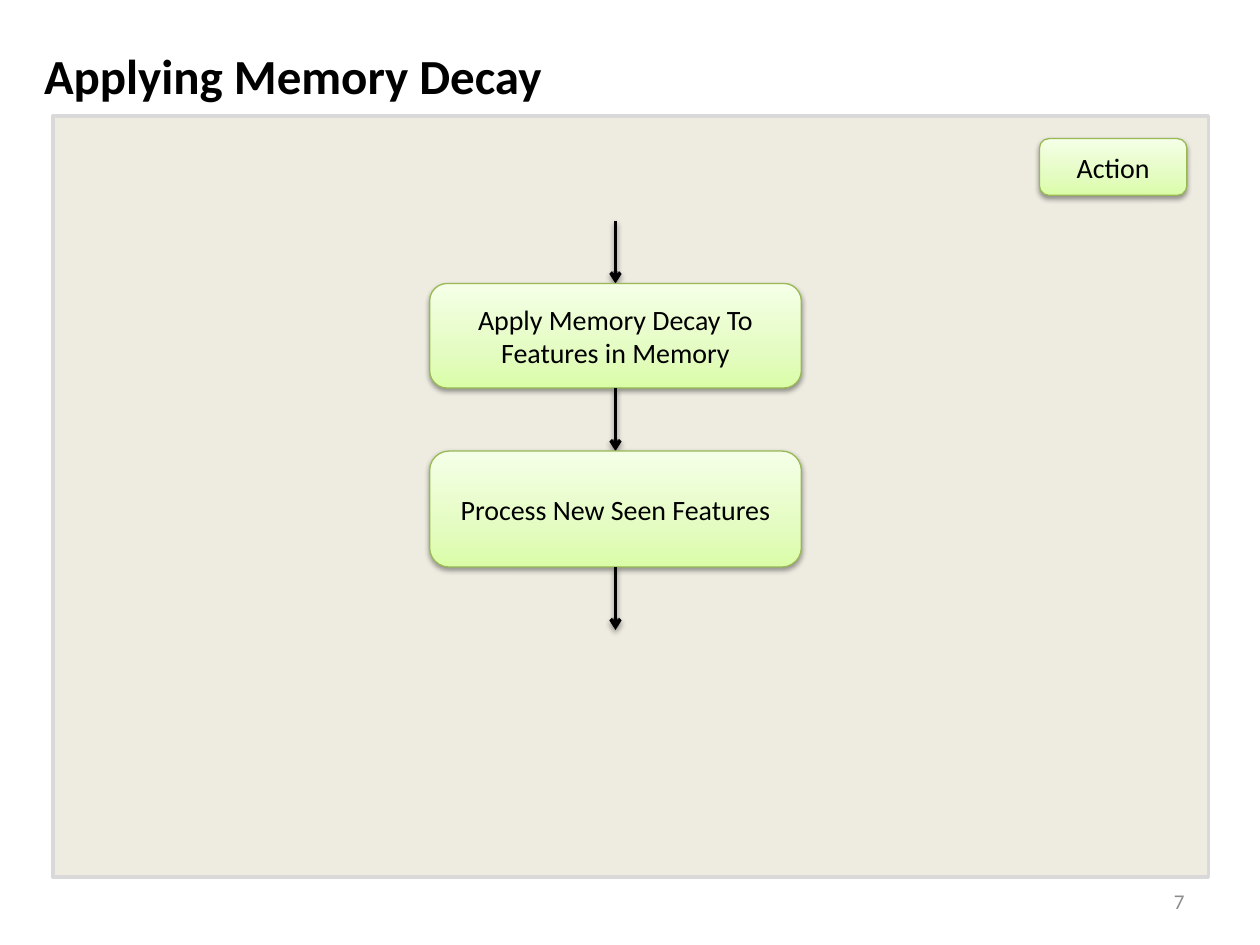
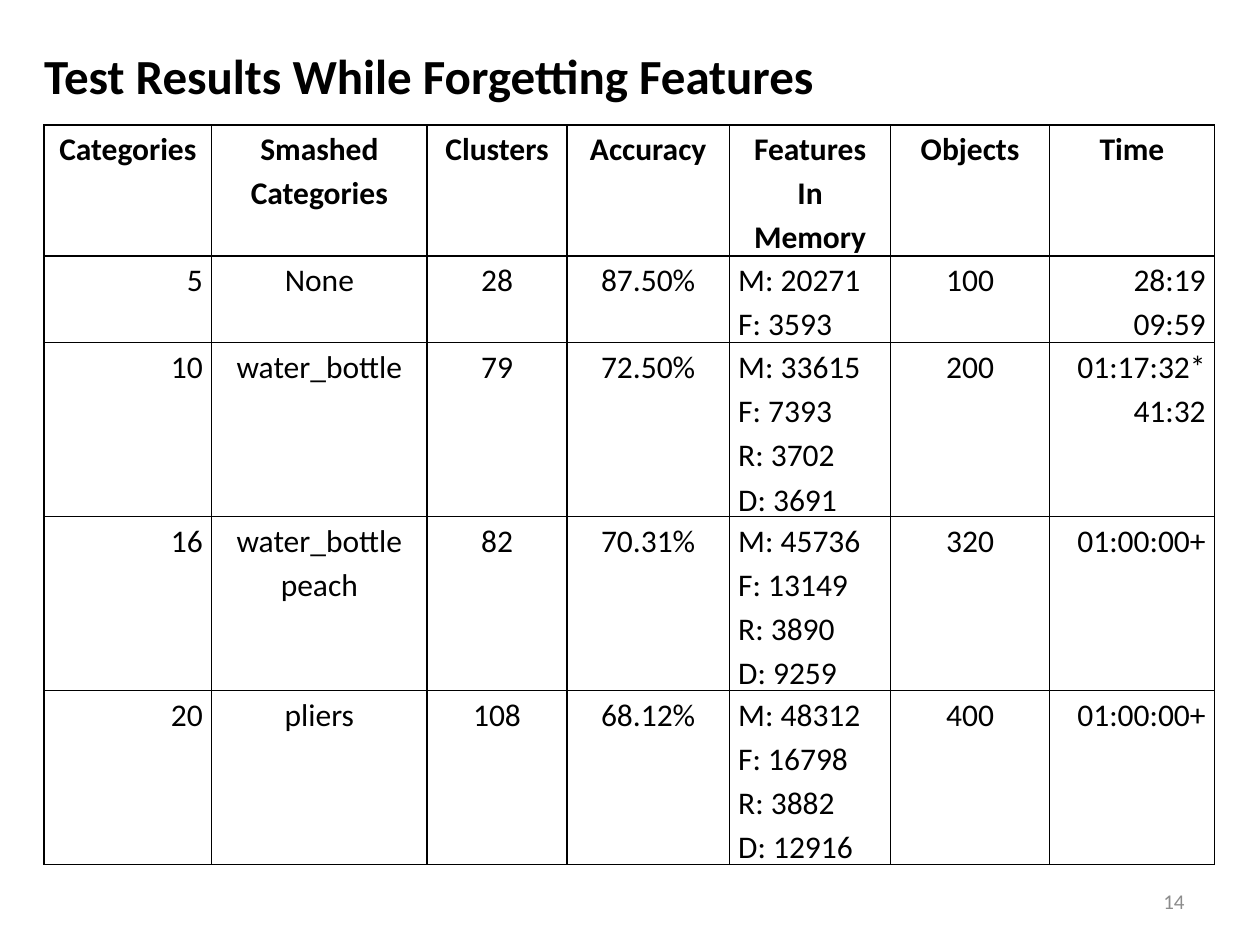
from dataclasses import dataclass

from lxml import etree
from pptx import Presentation
from pptx.dml.color import RGBColor
from pptx.enum.shapes import MSO_CONNECTOR, MSO_SHAPE
from pptx.enum.text import MSO_ANCHOR, MSO_AUTO_SIZE, PP_ALIGN
from pptx.oxml import parse_xml
from pptx.oxml.ns import nsdecls, qn
from pptx.util import Inches, Pt

LEFT, CENTER, RIGHT = PP_ALIGN.LEFT, PP_ALIGN.CENTER, PP_ALIGN.RIGHT
TOP, MIDDLE = MSO_ANCHOR.TOP, MSO_ANCHOR.MIDDLE
RECTANGLE = MSO_SHAPE.RECTANGLE
ACTION_SHAPE = MSO_SHAPE.FLOWCHART_ALTERNATE_PROCESS
STRAIGHT = MSO_CONNECTOR.STRAIGHT
TITLE_ONLY_LAYOUT = 5


@dataclass(frozen=True)
class Theme:
    font: str = "Calibri"
    ink: str = "000000"
    muted: str = "8C8C8C"
    panel: str = "EEECE1"
    panel_line: str = "D9D9D9"
    action_line: str = "98B955"
    action_stops: tuple = ((0, "DAFDA7"), (35, "E4FCC2"), (100, "F5FFE7"))
    title_size: int = 28
    table_size: int = 18
    action_size: int = 16
    number_size: int = 12


THEME = Theme()

PANEL = (0.42, 0.92, 9.17, 6.04)
FLOW_LEFT, FLOW_TOP, FLOW_WIDTH = 3.41, 1.75, 2.95
ARROW_LENGTH = 0.5
FLOW_STEPS = (
    ("Apply Memory Decay To Features in Memory", 0.83),
    ("Process New Seen Features", 0.92),
)

COLUMN_WIDTHS = (1.33, 1.71, 1.11, 1.29, 1.28, 1.26, 1.31)
ROW_HEIGHTS = (1.04, 0.69, 1.38, 1.38, 1.38)
COLUMN_ALIGNMENTS = (RIGHT, CENTER, CENTER, CENTER, LEFT, CENTER, RIGHT)
HEADERS = ("Categories", "Smashed Categories", "Clusters", "Accuracy",
           "Features In Memory", "Objects", "Time")
RESULTS = (
    ("5", "None", "28", "87.50%", "M: 20271\nF: 3593", "100", "28:19\n09:59"),
    ("10", "water_bottle", "79", "72.50%",
     "M: 33615\nF: 7393\nR: 3702\nD: 3691", "200", "01:17:32*\n41:32"),
    ("16", "water_bottle\npeach", "82", "70.31%",
     "M: 45736\nF: 13149\nR: 3890\nD: 9259", "320", "01:00:00+"),
    ("20", "pliers", "108", "68.12%",
     "M: 48312\nF: 16798\nR: 3882\nD: 12916", "400", "01:00:00+"),
)


def color(value):
    return RGBColor.from_string(value)


def box(left, top, width, height):
    return Inches(left), Inches(top), Inches(width), Inches(height)


def write_text(frame, text, size, ink=THEME.ink, alignment=LEFT, bold=False,
               spacing=None):
    frame.word_wrap = True
    for index, line in enumerate(text.split("\n")):
        paragraph = frame.add_paragraph() if index else frame.paragraphs[0]
        paragraph.alignment = alignment
        if spacing:
            paragraph.line_spacing = spacing
        run = paragraph.add_run()
        run.text = line
        run.font.name = THEME.font
        run.font.size = Pt(size)
        run.font.bold = bold
        run.font.color.rgb = color(ink)


def add_soft_shadow(shape):
    properties = shape.element.spPr
    for effects in properties.findall(qn("a:effectLst")):
        properties.remove(effects)
    properties.append(parse_xml(
        f'<a:effectLst {nsdecls("a")}>'
        f'<a:outerShdw blurRad="{Pt(3.1)}" dist="{Pt(1.6)}" dir="5400000" '
        f'rotWithShape="0"><a:srgbClr val="{THEME.ink}">'
        '<a:alpha val="38000"/></a:srgbClr></a:outerShdw></a:effectLst>'))


def fill_gradient(shape, stops):
    shape.fill.gradient()
    shape.fill.gradient_angle = 90
    stop_list = shape.element.spPr.find(".//" + qn("a:gsLst"))
    for stop in list(stop_list):
        stop_list.remove(stop)
    for position, value in stops:
        stop = etree.SubElement(stop_list, qn("a:gs"), pos=str(position * 1000))
        etree.SubElement(stop, qn("a:srgbClr"), val=value)


def add_panel(slide):
    panel = slide.shapes.add_shape(RECTANGLE, *box(*PANEL))
    panel.shadow.inherit = False
    panel.fill.solid()
    panel.fill.fore_color.rgb = color(THEME.panel)
    panel.line.color.rgb = color(THEME.panel_line)
    panel.line.width = Pt(2)


def add_action(slide, text, left, top, width, height):
    action = slide.shapes.add_shape(ACTION_SHAPE, *box(left, top, width, height))
    fill_gradient(action, THEME.action_stops)
    action.line.color.rgb = color(THEME.action_line)
    action.line.width = Pt(0.75)
    add_soft_shadow(action)
    action.text_frame.vertical_anchor = MIDDLE
    write_text(action.text_frame, text, THEME.action_size, alignment=CENTER)


def add_down_arrow(slide, center, top):
    arrow = slide.shapes.add_connector(
        STRAIGHT, Inches(center), Inches(top),
        Inches(center), Inches(top + ARROW_LENGTH))
    arrow.line.color.rgb = color(THEME.ink)
    arrow.line.width = Pt(2)
    line = arrow.element.spPr.find(qn("a:ln"))
    etree.SubElement(line, qn("a:tailEnd"), type="arrow")
    add_soft_shadow(arrow)


def add_flow(slide):
    center = FLOW_LEFT + FLOW_WIDTH / 2
    top = FLOW_TOP
    for text, height in FLOW_STEPS:
        add_down_arrow(slide, center, top)
        top += ARROW_LENGTH
        add_action(slide, text, FLOW_LEFT, top, FLOW_WIDTH, height)
        top += height
    add_down_arrow(slide, center, top)


def add_borders(cell):
    properties = cell._tc.get_or_add_tcPr()
    for index, side in enumerate(("a:lnL", "a:lnR", "a:lnT", "a:lnB")):
        border = etree.Element(qn(side), w=str(Pt(1)))
        fill = etree.SubElement(border, qn("a:solidFill"))
        etree.SubElement(fill, qn("a:srgbClr"), val=THEME.ink)
        properties.insert(index, border)


def add_results_table(slide):
    rows = (HEADERS,) + RESULTS
    frame = slide.shapes.add_table(
        len(rows), len(HEADERS),
        *box(0.35, 0.99, sum(COLUMN_WIDTHS), sum(ROW_HEIGHTS)))
    table = frame.table
    table.first_row = False
    table.horz_banding = False
    for column, width in zip(table.columns, COLUMN_WIDTHS):
        column.width = Inches(width)
    for row, height in zip(table.rows, ROW_HEIGHTS):
        row.height = Inches(height)
    for row_index, texts in enumerate(rows):
        header = row_index == 0
        for column_index, text in enumerate(texts):
            cell = table.cell(row_index, column_index)
            cell.margin_left = cell.margin_right = Inches(0.07)
            cell.margin_top = cell.margin_bottom = 0
            cell.fill.background()
            add_borders(cell)
            alignment = CENTER if header else COLUMN_ALIGNMENTS[column_index]
            write_text(cell.text_frame, text, THEME.table_size,
                       alignment=alignment, bold=header, spacing=1.15)


def add_titled_slide(presentation, title_text, number):
    layout = presentation.slide_layouts[TITLE_ONLY_LAYOUT]
    slide = presentation.slides.add_slide(layout)
    title = slide.shapes.title
    title.left, title.top, title.width, title.height = box(0.25, 0.31, 9.5, 0.57)
    title.text_frame.auto_size = MSO_AUTO_SIZE.NONE
    title.text_frame.vertical_anchor = TOP
    write_text(title.text_frame, title_text, THEME.title_size, bold=True)
    number_box = slide.shapes.add_textbox(*box(7.17, 6.95, 2.33, 0.4))
    number_box.text_frame.vertical_anchor = MIDDLE
    write_text(number_box.text_frame, str(number), THEME.number_size,
               THEME.muted, RIGHT)
    return slide


def main():
    presentation = Presentation()
    presentation.slide_width = Inches(10)
    presentation.slide_height = Inches(7.5)

    decay_slide = add_titled_slide(presentation, "Applying Memory Decay", 7)
    add_panel(decay_slide)
    add_action(decay_slide, "Action", 8.25, 1.1, 1.17, 0.45)
    add_flow(decay_slide)

    results_slide = add_titled_slide(
        presentation, "Test Results While Forgetting Features", 14)
    add_results_table(results_slide)

    presentation.save("out.pptx")


main()
